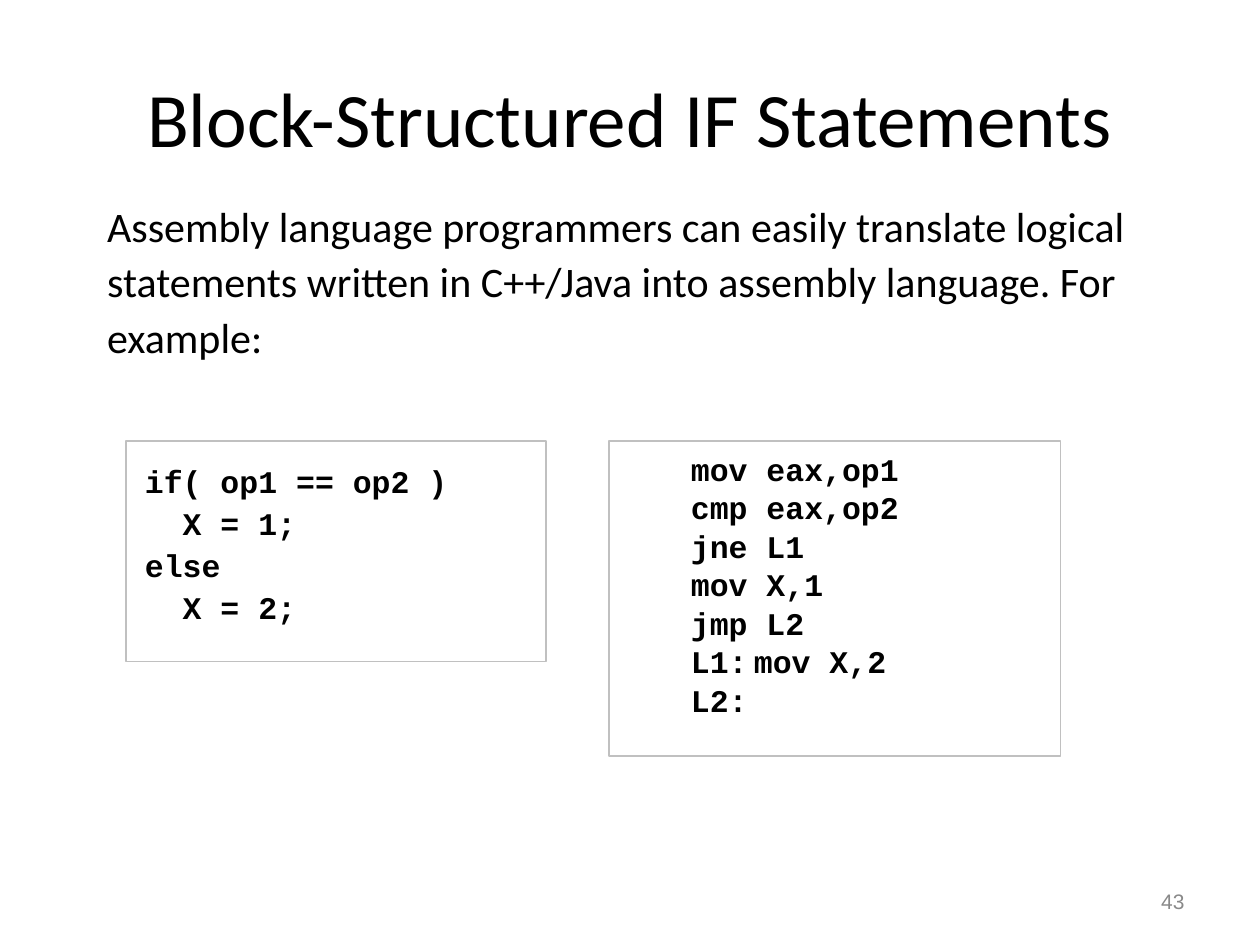
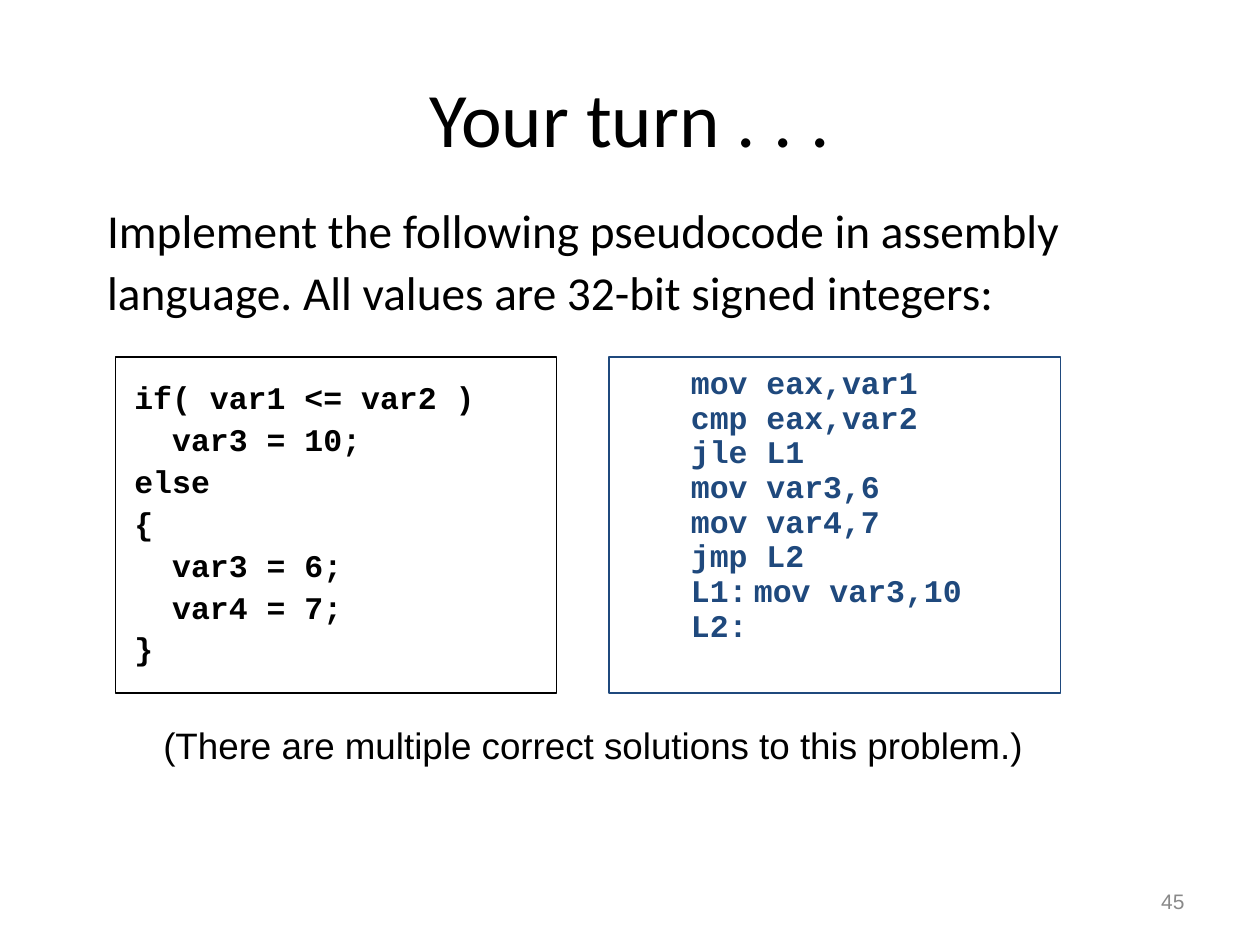
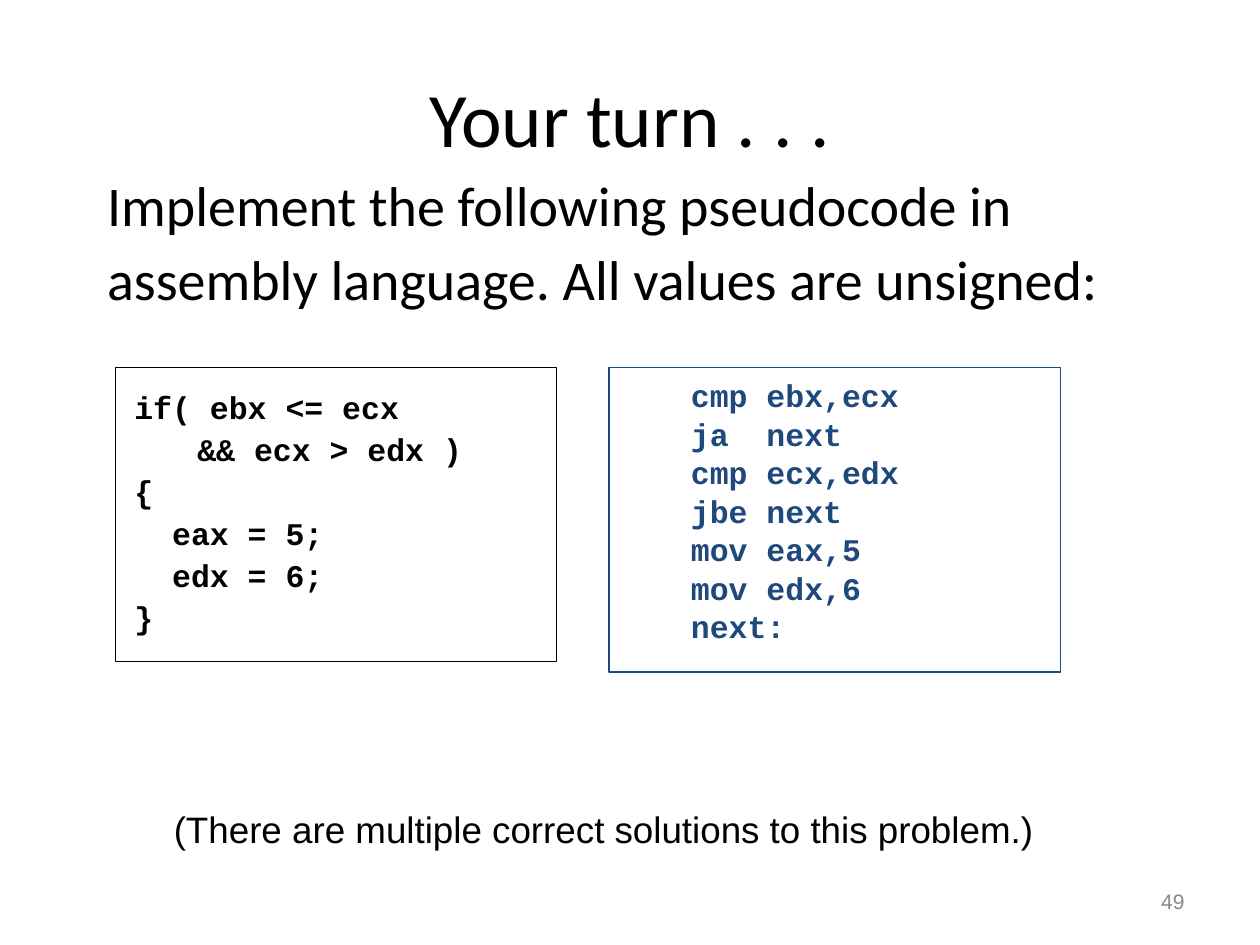
from dataclasses import dataclass

from lxml.etree import SubElement
from pptx import Presentation
from pptx.dml.color import RGBColor
from pptx.enum.shapes import MSO_SHAPE
from pptx.enum.text import MSO_ANCHOR, MSO_AUTO_SIZE, PP_ALIGN
from pptx.oxml.ns import qn
from pptx.slide import Slide
from pptx.text.text import TextFrame, _Paragraph
from pptx.util import Pt

BLACK = "000000"
SILVER = "C0C0C0"
NAVY = "1F497D"
GRAY = "898989"
HEADING_FONT = "Calibri"
NOTE_FONT = "Arial"
CODE_FONT = "Courier New"
TAB_STOPS = (36, 72)
SOLUTIONS_NOTE = "(There are multiple correct solutions to this problem.)"


@dataclass(frozen=True)
class Box:
    """Position and size in points."""

    left: float
    top: float
    width: float
    height: float


@dataclass(frozen=True)
class TextStyle:
    """Character and paragraph formatting."""

    font: str
    size: float
    color: str = BLACK
    bold: bool = False
    align: PP_ALIGN = PP_ALIGN.LEFT
    spacing: float = 1.0
    before: float = 0
    indent: float = 0


@dataclass(frozen=True)
class Listing:
    """A framed block of code."""

    box: Box
    frame: str
    style: TextStyle
    lines: tuple[str, ...]


@dataclass(frozen=True)
class Note:
    """A remark below the listings."""

    left: float
    top: float


@dataclass(frozen=True)
class Lesson:
    """The content of one slide."""

    number: int
    title: str
    task: str
    task_box: Box
    task_size: float
    assembly: Listing
    pseudocode: Listing
    note: Note | None = None


TITLE_BOX = Box(36, 21.6, 648, 90)
NUMBER_BOX = Box(516, 500.4, 168, 28.8)
TITLE_STYLE = TextStyle(HEADING_FONT, 44, align=PP_ALIGN.CENTER)
NUMBER_STYLE = TextStyle(NOTE_FONT, 12, GRAY, align=PP_ALIGN.RIGHT)
NOTE_STYLE = TextStyle(NOTE_FONT, 21, align=PP_ALIGN.CENTER, before=13.1)


def rgb(color: str) -> RGBColor:
    """Turn a hex string into a colour."""
    return RGBColor.from_string(color)


def assembly(top: float, height: float, frame: str, color: str, spacing: float, *lines: str) -> Listing:
    """Describe the right-hand listing."""
    style = TextStyle(CODE_FONT, 18, color, True, spacing=spacing, before=11.2, indent=36)
    return Listing(Box(348, top, 258, height), frame, style, lines)


def pseudocode(left: float, top: float, width: float, height: float, frame: str, *lines: str) -> Listing:
    """Describe the left-hand listing."""
    style = TextStyle(CODE_FONT, 18, bold=True, spacing=0.9, before=4.5)
    return Listing(Box(left, top, width, height), frame, style, lines)


LESSONS = (
    Lesson(
        43,
        "Block-Structured IF Statements",
        "Assembly language programmers can easily translate logical statements "
        "written in C++/Java into assembly language. For example:",
        Box(54, 108, 612, 102),
        24,
        assembly(252, 180, SILVER, BLACK, 0.5, "mov eax,op1", "cmp eax,op2", "jne L1",
                 "mov X,1", "jmp L2", "L1:\tmov X,2", "L2:"),
        pseudocode(72, 252, 240, 126, SILVER, "if( op1 == op2 )", "  X = 1;", "else", "  X = 2;"),
    ),
    Lesson(
        45,
        "Your turn . . .",
        "Implement the following pseudocode in assembly language. "
        "All values are 32-bit signed integers:",
        Box(54, 108, 612, 96),
        27,
        assembly(204, 192, NAVY, NAVY, 0.4, "mov eax,var1", "cmp eax,var2", "jle L1",
                 "mov var3,6", "mov var4,7", "jmp L2", "L1:\tmov var3,10", "L2:"),
        pseudocode(66, 204, 252, 192, BLACK, "if( var1 <= var2 )", "  var3 = 10;", "else",
                   "{", "  var3 = 6;", "  var4 = 7;", "}"),
        Note(54, 402),
    ),
    Lesson(
        49,
        "Your turn . . .",
        "Implement the following pseudocode in assembly language. All values are unsigned:",
        Box(54, 90, 612, 96),
        32,
        assembly(210, 174, NAVY, NAVY, 0.5, "cmp ebx,ecx", "ja  next", "cmp ecx,edx",
                 "jbe next", "mov eax,5", "mov edx,6", "next:"),
        pseudocode(66, 210, 252, 168, BLACK, "if( ebx <= ecx", "\t&& ecx > edx )", "{",
                   "  eax = 5;", "  edx = 6;", "}"),
        Note(60, 450),
    ),
)


def place(shape, box: Box) -> None:
    """Move and size a shape."""
    shape.left, shape.top = Pt(box.left), Pt(box.top)
    shape.width, shape.height = Pt(box.width), Pt(box.height)


def set_indent(paragraph: _Paragraph, indent: float) -> None:
    """Set the left margin, drop the bullet and add tab stops."""
    properties = paragraph._p.get_or_add_pPr()
    properties.set("marL", str(Pt(indent)))
    properties.set("indent", "0")
    SubElement(properties, qn("a:buNone"))
    tabs = SubElement(properties, qn("a:tabLst"))
    for stop in TAB_STOPS:
        SubElement(tabs, qn("a:tab"), pos=str(Pt(stop)), algn="l")


def write(frame: TextFrame, style: TextStyle, *lines: str,
          anchor: MSO_ANCHOR = MSO_ANCHOR.TOP, inset: tuple[float, float] = (7.2, 3.6)) -> None:
    """Fill a text frame with one paragraph per line."""
    frame.word_wrap = True
    frame.auto_size = MSO_AUTO_SIZE.NONE
    frame.vertical_anchor = anchor
    frame.margin_left = frame.margin_right = Pt(inset[0])
    frame.margin_top = frame.margin_bottom = Pt(inset[1])
    for index, line in enumerate(lines):
        paragraph = frame.add_paragraph() if index else frame.paragraphs[0]
        paragraph.alignment = style.align
        paragraph.line_spacing = style.spacing
        paragraph.space_before = Pt(style.before)
        set_indent(paragraph, style.indent)
        run = paragraph.add_run()
        run.text = line
        run.font.name = style.font
        run.font.size = Pt(style.size)
        run.font.bold = style.bold
        run.font.color.rgb = rgb(style.color)


def add_text(slide: Slide, box: Box, style: TextStyle, text: str,
             anchor: MSO_ANCHOR = MSO_ANCHOR.TOP, inset: tuple[float, float] = (7.2, 3.6)) -> None:
    """Add a one-paragraph text box."""
    caption = slide.shapes.add_textbox(0, 0, 0, 0)
    place(caption, box)
    write(caption.text_frame, style, text, anchor=anchor, inset=inset)


def add_listing(slide: Slide, listing: Listing) -> None:
    """Draw a framed code listing."""
    panel = slide.shapes.add_shape(MSO_SHAPE.RECTANGLE, 0, 0, 0, 0)
    place(panel, listing.box)
    panel.shadow.inherit = False
    panel.fill.background()
    panel.line.color.rgb = rgb(listing.frame)
    panel.line.width = Pt(0.75)
    write(panel.text_frame, listing.style, *listing.lines, inset=(10.8, 14.4))


def add_lesson(presentation: Presentation, lesson: Lesson) -> None:
    """Build one slide."""
    slide = presentation.slides.add_slide(presentation.slide_layouts[1])
    title, task = slide.shapes.title, slide.placeholders[1]
    place(title, TITLE_BOX)
    write(title.text_frame, TITLE_STYLE, lesson.title, anchor=MSO_ANCHOR.MIDDLE)
    place(task, lesson.task_box)
    task_style = TextStyle(HEADING_FONT, lesson.task_size, spacing=1.1, before=lesson.task_size / 4)
    write(task.text_frame, task_style, lesson.task)
    add_text(slide, NUMBER_BOX, NUMBER_STYLE, str(lesson.number), MSO_ANCHOR.MIDDLE)
    add_listing(slide, lesson.assembly)
    add_listing(slide, lesson.pseudocode)
    if lesson.note:
        note_box = Box(lesson.note.left, lesson.note.top, 570, 46.8)
        add_text(slide, note_box, NOTE_STYLE, SOLUTIONS_NOTE, inset=(7.2, 10.8))


def main() -> None:
    """Build and save the presentation."""
    presentation = Presentation()
    presentation.slide_width, presentation.slide_height = Pt(720), Pt(540)
    for lesson in LESSONS:
        add_lesson(presentation, lesson)
    presentation.save("out.pptx")


if __name__ == "__main__":
    main()
